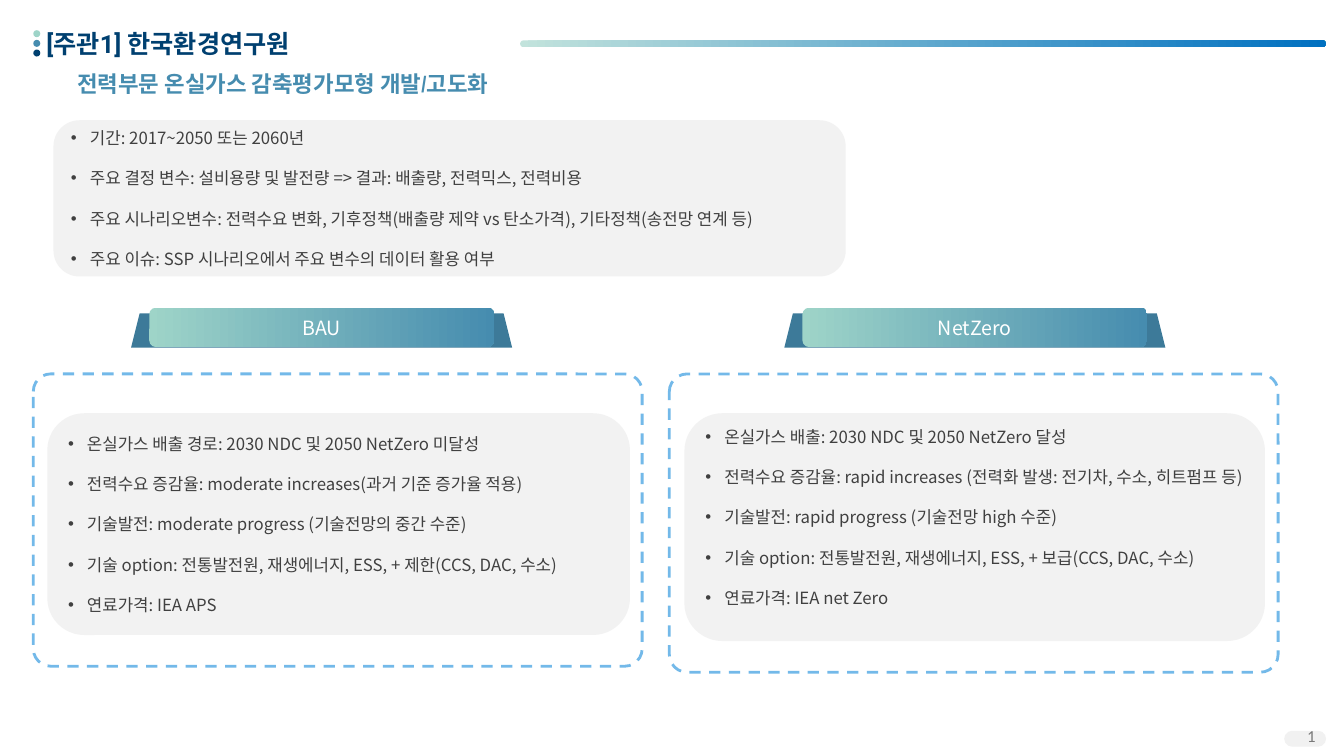
import pptx
import pptx.util
import pptx.dml.color
import pptx.enum.dml
import pptx.enum.shapes
import pptx.enum.text
import pptx.oxml
import pptx.oxml.ns
from lxml import etree

Pt = pptx.util.Pt
SHAPE = pptx.enum.shapes.MSO_SHAPE
ALIGN = pptx.enum.text.PP_ALIGN

TITLE = "[주관1] 한국환경연구원"
SUBTITLE = "전력부문 온실가스 감축평가모형 개발/고도화"
SUMMARY = [
    "기간: 2017~2050 또는 2060년",
    "주요 결정 변수: 설비용량 및 발전량 => 결과: 배출량, 전력믹스, 전력비용",
    "주요 시나리오변수: 전력수요 변화, 기후정책(배출량 제약 vs 탄소가격), 기타정책(송전망 연계 등)",
    "주요 이슈: SSP 시나리오에서 주요 변수의 데이터 활용 여부",
]
SCENARIOS = [
    dict(name="BAU", banner_x=93.6, frame_x=23.8, frame_h=208.8,
         panel_x=33.8, panel_w=416.2, bottom=3.6, points=[
             "온실가스 배출 경로: 2030 NDC 및 2050 NetZero 미달성",
             "전력수요 증감율: moderate increases(과거 기준 증가율 적용)",
             "기술발전: moderate progress (기술전망의 중간 수준)",
             "기술 option: 전통발전원, 재생에너지, ESS, + 제한(CCS, DAC, 수소)",
             "연료가격: IEA APS"]),
    dict(name="NetZero", banner_x=560.2, frame_x=478.1, frame_h=213.1,
         panel_x=488.9, panel_w=414.7, bottom=18, points=[
             "온실가스 배출: 2030 NDC 및 2050 NetZero 달성",
             "전력수요 증감율: rapid increases (전력화 발생: 전기차, 수소, 히트펌프 등)",
             "기술발전: rapid progress (기술전망 high 수준)",
             "기술 option: 전통발전원, 재생에너지, ESS, + 보급(CCS, DAC, 수소)",
             "연료가격: IEA net Zero"]),
]
COLORS = dict(navy="004070", teal="468CAF", mint="9ED4C8", pale_mint="C2E3DC",
              blue="0070C0", wing="3D7A99", dash="73B9E9", panel="F2F2F2",
              pill="F1F1F1", text="404040", number="797979", white="FFFFFF")
BODY_FONT = "Noto Sans CJK KR"
LINE = 14.4
INDENT = 13.5
FRAME_TOP, PANEL_TOP = 267.1, 295.2
PANEL_INSET = 50.4  # frame height minus panel height


def rgb(name):
    return pptx.dml.color.RGBColor.from_string(COLORS[name])


def add_shape(parent, kind, box, fill=None, adj=None):
    """Add a shape; fill is a colour name, a pair for a gradient, or None."""
    s = parent.shapes.add_shape(kind, *map(Pt, box))
    s.shadow.inherit = False
    s.line.fill.background()
    if adj is not None:
        s.adjustments[0] = adj
    if fill is None:
        s.fill.background()
    elif isinstance(fill, str):
        s.fill.solid()
        s.fill.fore_color.rgb = rgb(fill)
    else:
        s.fill.gradient()
        s.fill.gradient_angle = 0
        for i, (stop, name) in enumerate(zip(s.fill.gradient_stops, fill)):
            stop.position = i
            stop.color.rgb = rgb(name)
    return s


def style(p, size, color, font=BODY_FONT, bold=False, align=ALIGN.LEFT):
    p.alignment = align
    for r in p.runs:
        r.font.name, r.font.size, r.font.bold = font, Pt(size), bold
        r.font.color.rgb = rgb(color)
        ea = etree.SubElement(r.font._element, pptx.oxml.ns.qn("a:ea"))
        ea.set("typeface", BODY_FONT)


def set_line(s, box, text, size, color, **look):
    """Place a single line of text, vertically centred in its box."""
    s.left, s.top, s.width, s.height = map(Pt, box)
    tf = s.text_frame
    tf.word_wrap = True
    tf.auto_size = pptx.enum.text.MSO_AUTO_SIZE.NONE
    tf.vertical_anchor = pptx.enum.text.MSO_ANCHOR.MIDDLE
    tf.text = text
    style(tf.paragraphs[0], size, color, **look)


def add_textbox(slide, box, *args, **look):
    s = slide.shapes.add_textbox(*map(Pt, box))
    set_line(s, box, *args, **look)
    return s


def add_bullet_panel(slide, box, points, bottom=3.6):
    s = add_shape(slide, SHAPE.ROUNDED_RECTANGLE, box, "panel")
    tf = s.text_frame
    tf.word_wrap = True
    tf.margin_bottom = Pt(bottom)
    tf.vertical_anchor = pptx.enum.text.MSO_ANCHOR.MIDDLE
    for i, point in enumerate(points):
        p = tf.add_paragraph() if i else tf.paragraphs[0]
        p.text = point
        p.line_spacing = Pt(LINE)
        if i:
            p.space_before = Pt(LINE)
        pPr = p._p.get_or_add_pPr()
        pPr.set("marL", str(Pt(INDENT)))
        pPr.set("indent", str(-Pt(INDENT)))
        for tag, key, value in (("a:buFont", "typeface", "Arial"),
                                ("a:buChar", "char", "•")):
            etree.SubElement(pPr, pptx.oxml.ns.qn(tag)).set(key, value)
        style(p, 12, "text")


def add_banner(slide, x, name):
    banner = slide.shapes.add_group_shape()
    add_shape(banner, SHAPE.TRAPEZOID, (x, 223.9, 272.2, 24.5), "wing")
    plate_box = (x + 13, 219.8, 246.2, 28.1)
    plate = add_shape(banner, SHAPE.ROUNDED_RECTANGLE, plate_box, ("mint", "teal"))
    set_line(plate, plate_box, name, 14, "white", align=ALIGN.CENTER)


def add_scenario(slide, sc):
    add_banner(slide, sc["banner_x"], sc["name"])
    frame = add_shape(slide, SHAPE.ROUNDED_RECTANGLE,
                      (sc["frame_x"], FRAME_TOP, 434.9, sc["frame_h"]), adj=0.06)
    frame.line.color.rgb = rgb("dash")
    frame.line.width = Pt(2)
    frame.line.dash_style = pptx.enum.dml.MSO_LINE.DASH
    panel = (sc["panel_x"], PANEL_TOP, sc["panel_w"], sc["frame_h"] - PANEL_INSET)
    add_bullet_panel(slide, panel, sc["points"], sc["bottom"])


def add_page_number(slide):
    add_shape(slide, SHAPE.ROUNDED_RECTANGLE, (917.3, 522, 29.9, 11.4), "pill", 0.5)
    s = add_textbox(slide, (730.8, 511.2, 216, 28.8), "1", 12, "number",
                    font="Calibri", align=ALIGN.RIGHT)
    r = s.text_frame.paragraphs[0].runs[0]._r
    field = pptx.oxml.parse_xml(
        '<a:fld %s id="{B6F15528-21DE-4FAA-801E-634DDDAF4B2B}" type="slidenum"/>'
        % pptx.oxml.ns.nsdecls("a"))
    r.addprevious(field)
    field.extend(list(r))
    r.getparent().remove(r)


def main():
    prs = pptx.Presentation()
    prs.slide_width, prs.slide_height = Pt(960), Pt(540)
    slide = prs.slides.add_slide(prs.slide_layouts[5])
    set_line(slide.shapes.title, (26, 16.6, 400, 28.8), TITLE, 18, "navy",
             font="Roboto", bold=True)
    add_textbox(slide, (48.2, 46.1, 334.8, 26.6), SUBTITLE, 16, "teal",
                font="Arial Narrow", bold=True)
    dots = slide.shapes.add_group_shape()
    for i, color in enumerate(("mint", "teal", "navy")):
        add_shape(dots, SHAPE.OVAL, (23.8, 21.6 + 6.9 * i, 5, 5), color)
    add_shape(slide, SHAPE.ROUNDED_RECTANGLE, (371.5, 28.8, 575.3, 5),
              ("pale_mint", "blue"), 0.5)
    add_bullet_panel(slide, (38.2, 85.9, 565.9, 111.6), SUMMARY)
    for sc in SCENARIOS:
        add_scenario(slide, sc)
    add_page_number(slide)
    prs.save("out.pptx")


if __name__ == "__main__":
    main()
